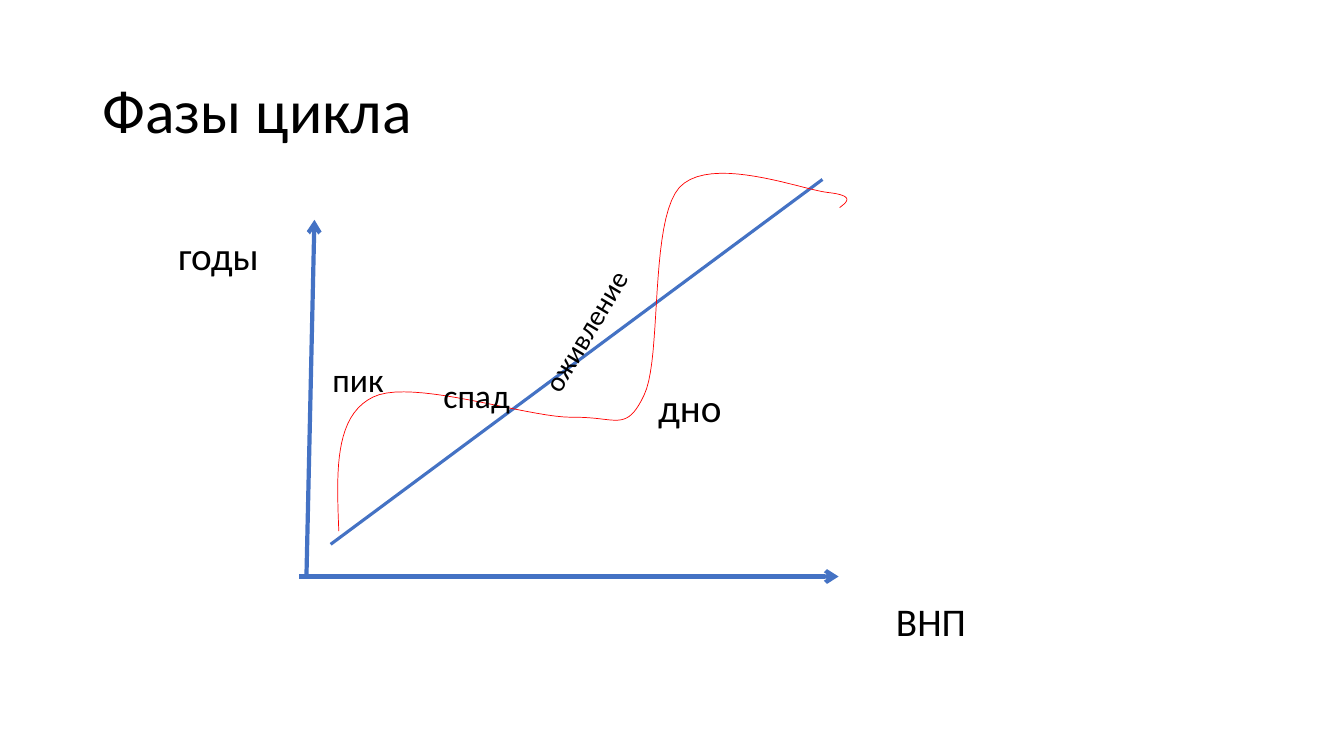
import pptx
import pptx.util
import pptx.dml.color
import pptx.enum.shapes
import pptx.enum.text
import pptx.oxml.ns
import lxml.etree

Pt = pptx.util.Pt

TITLE = ("Фазы цикла", (66, 29, 828, 104.4))
LABELS = [
    # text, (left, top, width, height), size role, rotation
    ("ВНП", (632.9, 423.4, 79, 41), "large", 0),
    ("годы", (120.2, 162, 88, 41), "large", 0),
    ("пик", (230.4, 252.7, 79, 36), "medium", 0),
    ("спад", (309.6, 264.2, 108, 36), "medium", 0),
    ("дно", (463, 270, 136, 41), "large", 0),
    ("оживление", (411.1, 149.8, 38.9, 146.2), "small", 30.9),
]
LINES = [
    # start, end, width, arrow
    ((218.9, 411.8), (224.6, 157), 3, True),
    ((213.8, 411.8), (599, 411.8), 3, True),
    ((236.2, 388.8), (587.5, 128.2), 2.25, False),
]
CYCLE_START = (242, 379.4)
CYCLE_CURVES = [
    ((240.5, 338.4), (238.3, 297.4), (266.4, 283.7)),
    ((293.8, 270), (375.8, 298.1), (408.2, 298.1)),
    ((440.6, 297.4), (447.1, 309.6), (460.1, 282.2)),
    ((473, 255.6), (463.7, 158.4), (485.3, 133.9)),
    ((507.6, 110.2), (572.4, 135.4), (591.1, 137.5)),
    ((610.6, 139.7), (605.5, 144), (599.8, 148.3)),
]
CURVE_STEPS = 20

THEME = {
    "font": "Calibri",
    "text": pptx.dml.color.RGBColor(0, 0, 0),
    "axis": pptx.dml.color.RGBColor(0x44, 0x72, 0xC4),
    "cycle": pptx.dml.color.RGBColor(0xFF, 0, 0),
    "title": 44,
    "large": 28,
    "medium": 24,
    "small": 20,
}


def place(box, frame):
    box.left, box.top, box.width, box.height = map(Pt, frame)


def write(box, text, role):
    para = box.text_frame.paragraphs[0]
    para.text = text
    para.alignment = pptx.enum.text.PP_ALIGN.LEFT
    para.font.name = THEME["font"]
    para.font.size = Pt(THEME[role])
    para.font.color.rgb = THEME["text"]
    return para


def add_title(page):
    text, frame = TITLE
    box = page.shapes.title
    place(box, frame)
    box.text_frame.vertical_anchor = pptx.enum.text.MSO_ANCHOR.MIDDLE
    box.text_frame.auto_size = pptx.enum.text.MSO_AUTO_SIZE.NONE
    write(box, text, "title").line_spacing = 0.9


def add_line(page, start, end, width, arrow):
    line = page.shapes.add_connector(
        pptx.enum.shapes.MSO_CONNECTOR.STRAIGHT, *map(Pt, start + end))
    line.line.color.rgb = THEME["axis"]
    line.line.width = Pt(width)
    if arrow:
        outline = line.line._get_or_add_ln()
        lxml.etree.SubElement(outline, pptx.oxml.ns.qn("a:tailEnd"), type="arrow")
    lxml.etree.SubElement(line.element.spPr, pptx.oxml.ns.qn("a:effectLst"))


def bezier(points, t):
    weights = ((1 - t) ** 3, 3 * t * (1 - t) ** 2, 3 * t ** 2 * (1 - t), t ** 3)
    return tuple(Pt(sum(w * p[axis] for w, p in zip(weights, points)))
                 for axis in (0, 1))


def add_cycle(page):
    points, start = [], CYCLE_START
    for curve in CYCLE_CURVES:
        points += [bezier((start, *curve), step / CURVE_STEPS)
                   for step in range(1, CURVE_STEPS + 1)]
        start = curve[-1]
    builder = page.shapes.build_freeform(*map(Pt, CYCLE_START))
    builder.add_line_segments(points, close=False)
    cycle = builder.convert_to_shape()
    cycle.shadow.inherit = False
    cycle.fill.background()
    cycle.line.color.rgb = THEME["cycle"]
    cycle.line.width = Pt(0.5)


def add_label(page, text, frame, role, rotation):
    box = page.shapes.add_textbox(*map(Pt, frame))
    box.text_frame.word_wrap = True
    box.text_frame.auto_size = pptx.enum.text.MSO_AUTO_SIZE.SHAPE_TO_FIT_TEXT
    write(box, text, role)
    if rotation:
        box.rotation = rotation
        box.element.txBody.bodyPr.set("vert", "vert270")


def main():
    deck = pptx.Presentation()
    deck.slide_width, deck.slide_height = Pt(960), Pt(540)
    page = deck.slides.add_slide(deck.slide_layouts.get_by_name("Title Only"))
    add_title(page)
    for line in LINES:
        add_line(page, *line)
    add_cycle(page)
    for label in LABELS:
        add_label(page, *label)
    deck.save("out.pptx")


if __name__ == "__main__":
    main()
